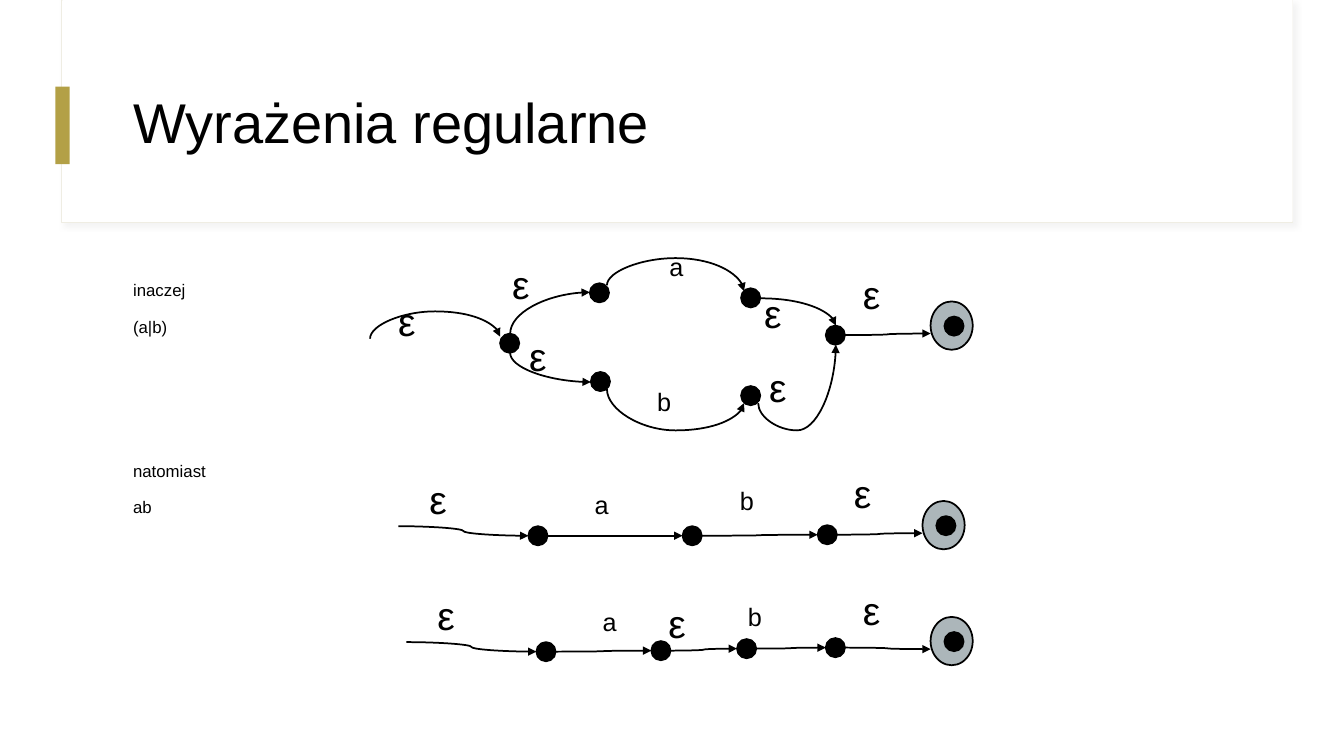
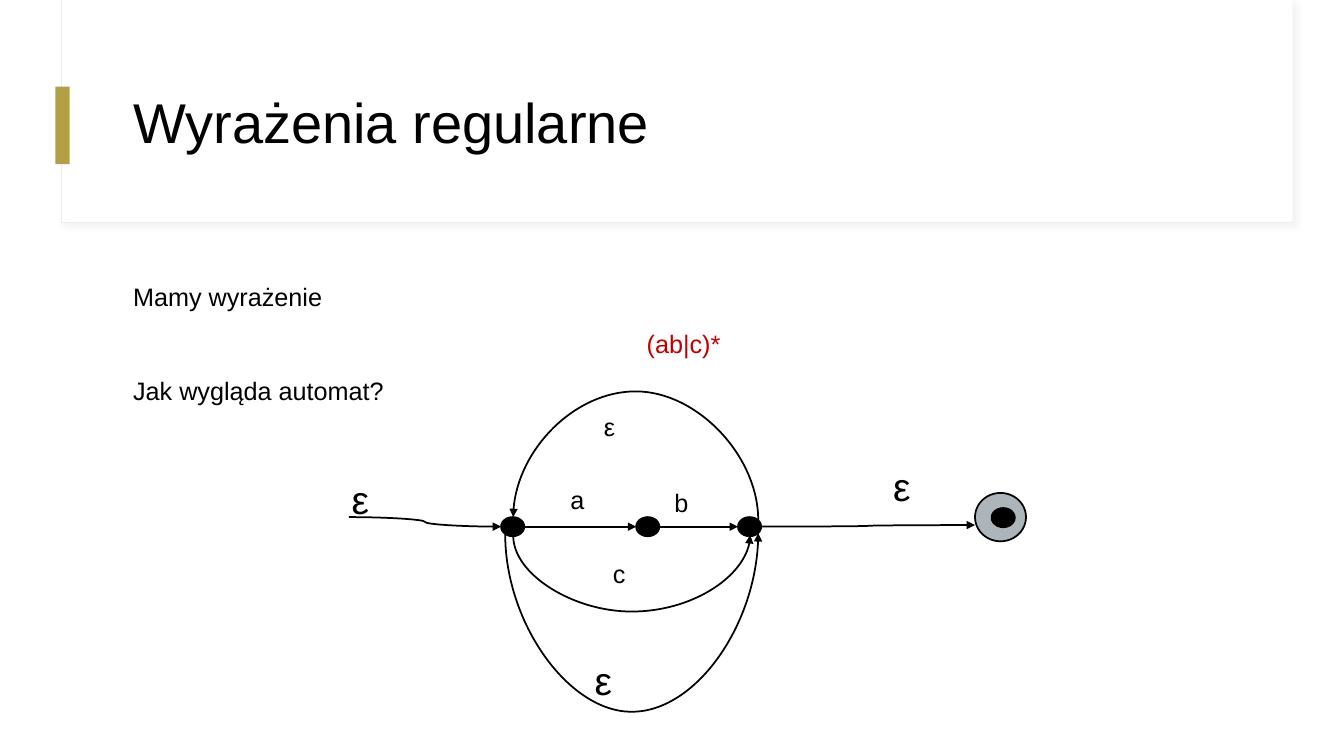
from lxml import etree
from pptx import Presentation
from pptx import util as u
from pptx.dml.color import RGBColor
from pptx.enum import shapes, text
from pptx.oxml.ns import qn

BLACK, WHITE, GREY, GOLD = "000000", "FFFFFF", "ACB6BA", "B3A046"
EDGE, SHADE, RED = "EFEDE3", "D9D9D9", "C00000"
DOT_HEIGHT = 0.19
ALIGN = text.PP_ALIGN


def colour(code):
    return RGBColor.from_string(code)


def apply(target, values):
    for name, value in values.items():
        setattr(target, name, value)


def child(parent, tag, **attributes):
    return etree.SubElement(parent, qn(tag), attributes)


def place(left, top, width, height):
    names = ("left", "top", "width", "height")
    return dict(zip(names, map(u.Inches, (left, top, width, height))))


class AutomatonDeck:
    """Holds the shared style and the slide being filled."""

    def __init__(self):
        self.deck = Presentation()
        apply(self.deck, {"slide_width": u.Inches(13.33), "slide_height": u.Inches(7.5)})
        self.layout = self.deck.slide_layouts[1]
        self.page = None
        self.dot_width = DOT_HEIGHT
        title, body = list(self.layout.placeholders)[:2]
        apply(title, place(1.22, 0.6, 11.12, 1.29))
        apply(body, place(1.22, 2.71, 11.12, 4.04))

    def add_page(self, title, dot_width=DOT_HEIGHT):
        first = self.page is None
        self.page = self.deck.slides.add_slide(self.layout)
        self.dot_width = dot_width
        if first:
            self.decorate_layout()
        frame = self.page.shapes.title.text_frame
        apply(frame, {"auto_size": text.MSO_AUTO_SIZE.NONE,
                      "vertical_anchor": text.MSO_ANCHOR.MIDDLE})
        para = frame.paragraphs[0]
        apply(para, {"alignment": ALIGN.LEFT, "line_spacing": 0.9})
        self.add_span(para, title, 40)

    def decorate_layout(self):
        """Draw the title frame and accent, then move them behind the layout's placeholders."""
        kind = shapes.MSO_SHAPE.RECTANGLE
        frame = self.shape(kind, (0.61, 0, 12.21, 2.21), WHITE, EDGE, 0.75)
        effects = frame._element.spPr.find(qn("a:effectLst"))
        shadow = child(effects, "a:outerShdw", blurRad=str(u.Pt(4)), dist=str(u.Pt(3)),
                       dir="2700000", algn="tl", rotWithShape="0")
        child(child(shadow, "a:srgbClr", val=SHADE), "a:alpha", val="30000")
        panel = self.shape(kind, (0.62, 0, 12.2, 2.2), WHITE)
        accent = self.shape(kind, (0.55, 0.86, 0.14, 0.77), GOLD)
        for index, item in enumerate((frame, panel, accent), start=2):
            self.layout.shapes._spTree.insert(index, item._element)

    def add_span(self, para, words, size, ink=BLACK):
        span = para.add_run()
        span.text = words
        apply(span.font, {"name": "Arial", "size": u.Pt(size)})
        span.font.color.rgb = colour(ink)

    def body(self, size, lines):
        """Fill the body; each line is (words, format overrides, ink)."""
        frame = self.page.placeholders[1].text_frame
        frame.auto_size = text.MSO_AUTO_SIZE.NONE
        for index, (words, changes, ink) in enumerate(lines):
            para = frame.add_paragraph() if index else frame.paragraphs[0]
            properties = para._p.get_or_add_pPr()
            for name in ("marL", "indent"):
                properties.set(name, "0")
            child(properties, "a:buNone")
            values = {"alignment": ALIGN.JUSTIFY, "line_spacing": 1.1,
                      "space_before": u.Pt(10 if index else 0)}
            apply(para, values | changes)
            self.add_span(para, words, size, ink)

    def shape(self, kind, box, fill, edge=None, weight=1.25):
        item = self.page.shapes.add_shape(kind, *map(u.Inches, box))
        item.shadow.inherit = False
        item.fill.solid()
        item.fill.fore_color.rgb = colour(fill)
        if edge:
            item.line.color.rgb = colour(edge)
            item.line.width = u.Pt(weight)
        else:
            item.line.fill.background()
        return item

    def state(self, left, top):
        kind = shapes.MSO_SHAPE.FLOWCHART_CONNECTOR
        self.shape(kind, (left, top, self.dot_width, DOT_HEIGHT), BLACK, BLACK)

    def final_state(self, left, top):
        kind = shapes.MSO_SHAPE.FLOWCHART_CONNECTOR
        self.shape(kind, (left, top, self.dot_width * 2.2, 0.48), GREY, BLACK)
        self.state(left + self.dot_width * 0.72, top + 0.15)

    def label(self, words, left, top, size=28):
        width, height = (0.79, 0.73) if size == 28 else (0.5, 0.5)
        box = self.page.shapes.add_textbox(*map(u.Inches, (left, top, width, height)))
        box.text_frame.word_wrap = True
        self.add_span(box.text_frame.paragraphs[0], words, size)

    def arrow(self, start, end, bow=None, quarter=False, upright=False):
        """Curve that sways across, turns a quarter, or arcs up or down to height bow.

        An upright curve leaves vertically, so its box is turned on its side.
        """
        (x1, y1), (x2, y2) = start, end
        upright = upright or bow is not None
        climbs = x2 > x1 and y2 < y1
        if upright:
            middle_x, middle_y = (x1 + x2) / 2, (y1 + y2) / 2
            half_width, half_height = abs(y2 - y1) / 2, abs(x2 - x1) / 2
            side_x = 1 if climbs or y2 > y1 else -1
            side_y = 1 if climbs or x2 < x1 else -1
            x1, x2 = middle_x + side_x * half_width, middle_x - side_x * half_width
            y1, y2 = middle_y + side_y * half_height, middle_y - side_y * half_height
        line = self.page.shapes.add_connector(
            shapes.MSO_CONNECTOR.CURVE, *map(u.Inches, (x1, y1, x2, y2)))
        if upright:
            line.rotation = 90 if climbs else 270
        line.line.color.rgb = colour(BLACK)
        line.line.width = u.Pt(1.25)
        outline = line._element.spPr
        child(outline.find(qn("a:ln")), "a:tailEnd", type="triangle")
        child(outline, "a:effectLst")
        geometry = outline.find(qn("a:prstGeom"))
        if quarter:
            geometry.set("prst", "curvedConnector2")
        if bow is not None:
            reach = round((bow - start[1]) / (end[1] - start[1]) * 100000)
            child(geometry.find(qn("a:avLst")), "a:gd", name="adj1", fmla=f"val {reach}")

    def chain(self, dots, final, entry=None):
        """Row of states joined side to side, ending in a final state."""
        tail = entry
        for left, top in dots:
            middle = top + DOT_HEIGHT / 2
            if tail:
                self.arrow(tail, (left, middle))
            self.state(left, top)
            tail = (left + self.dot_width, middle)
        self.final_state(*final)
        self.arrow(tail, (final[0], final[1] + 0.32))

    def labels(self, places, size=28):
        for words, left, top in places:
            self.label(words, left, top, size)


def add_union_and_sequence(deck):
    deck.add_page("Wyrażenia regularne")
    deck.body(12, [("inaczej", {}, BLACK), ("(a|b)", {}, BLACK),
                   ("natomiast", {"space_before": u.Pt(87)}, BLACK), ("ab", {}, BLACK)])
    for dot in ((4.96, 3.31), (5.85, 2.81), (5.86, 3.69), (7.35, 2.86), (7.35, 3.83)):
        deck.state(*dot)
    for start, end, bow in (((3.67, 3.36), (4.96, 3.34), 3.09),
                            ((6.02, 2.83), (7.38, 2.89), 2.56),
                            ((6.02, 3.86), (7.38, 4), 4.27),
                            ((7.52, 4), (8.29, 3.42), 4.27)):
        deck.arrow(start, end, bow)
    for start, end, upright in (((5.06, 3.31), (5.85, 2.9), True),
                                ((5.06, 3.5), (5.86, 3.79), True),
                                ((7.54, 2.96), (8.29, 3.23), False)):
        deck.arrow(start, end, quarter=True, upright=upright)
    deck.chain([(8.19, 3.23)], (9.23, 2.99))
    deck.chain([(5.24, 5.22), (6.77, 5.22), (8.11, 5.21)], (9.15, 4.97), (3.95, 5.22))
    deck.chain([(5.32, 6.37), (6.46, 6.36), (7.31, 6.34), (8.19, 6.33)],
               (9.23, 6.12), (4.03, 6.37))
    deck.labels([("ε", *spot) for spot in (
        (3.85, 2.9), (4.98, 2.53), (5.15, 3.25), (7.48, 2.82), (7.53, 3.56), (8.46, 2.63),
        (4.16, 4.67), (8.37, 4.61), (4.24, 5.82), (6.53, 5.9), (8.46, 5.77))])
    deck.labels([("a", 6.54, 2.44), ("b", 6.42, 3.78), ("a", 5.8, 4.81),
                 ("b", 7.24, 4.77), ("a", 5.88, 5.97), ("b", 7.32, 5.92)], 18)


def add_iteration(deck):
    deck.add_page("Wyrażenia regularne", dot_width=0.23)
    deck.body(18, [("Mamy wyrażenie", {}, BLACK),
                   ("(ab|c)*", {"alignment": ALIGN.CENTER}, RED),
                   ("Jak wygląda automat?", {}, BLACK)])
    deck.chain([(4.97, 5.13), (6.31, 5.13), (7.32, 5.13)], (9.67, 4.89), (3.46, 5.13))
    for start, end, bow in (((5.09, 5.32), (7.44, 5.31), 6.08),
                            ((7.52, 5.16), (5.09, 5.13), 3.88),
                            ((5.01, 5.3), (7.52, 5.29), 7.09)):
        deck.arrow(start, end, bow)
    deck.labels([("ε", 3.39, 4.67), ("ε", 8.76, 4.54), ("ε", 5.8, 6.46)])
    deck.labels([("ε", 5.89, 4.03), ("a", 5.56, 4.76), ("b", 6.59, 4.79),
                 ("c", 5.98, 5.49)], 18)


def main():
    deck = AutomatonDeck()
    add_union_and_sequence(deck)
    add_iteration(deck)
    deck.deck.save("out.pptx")


if __name__ == "__main__":
    main()
